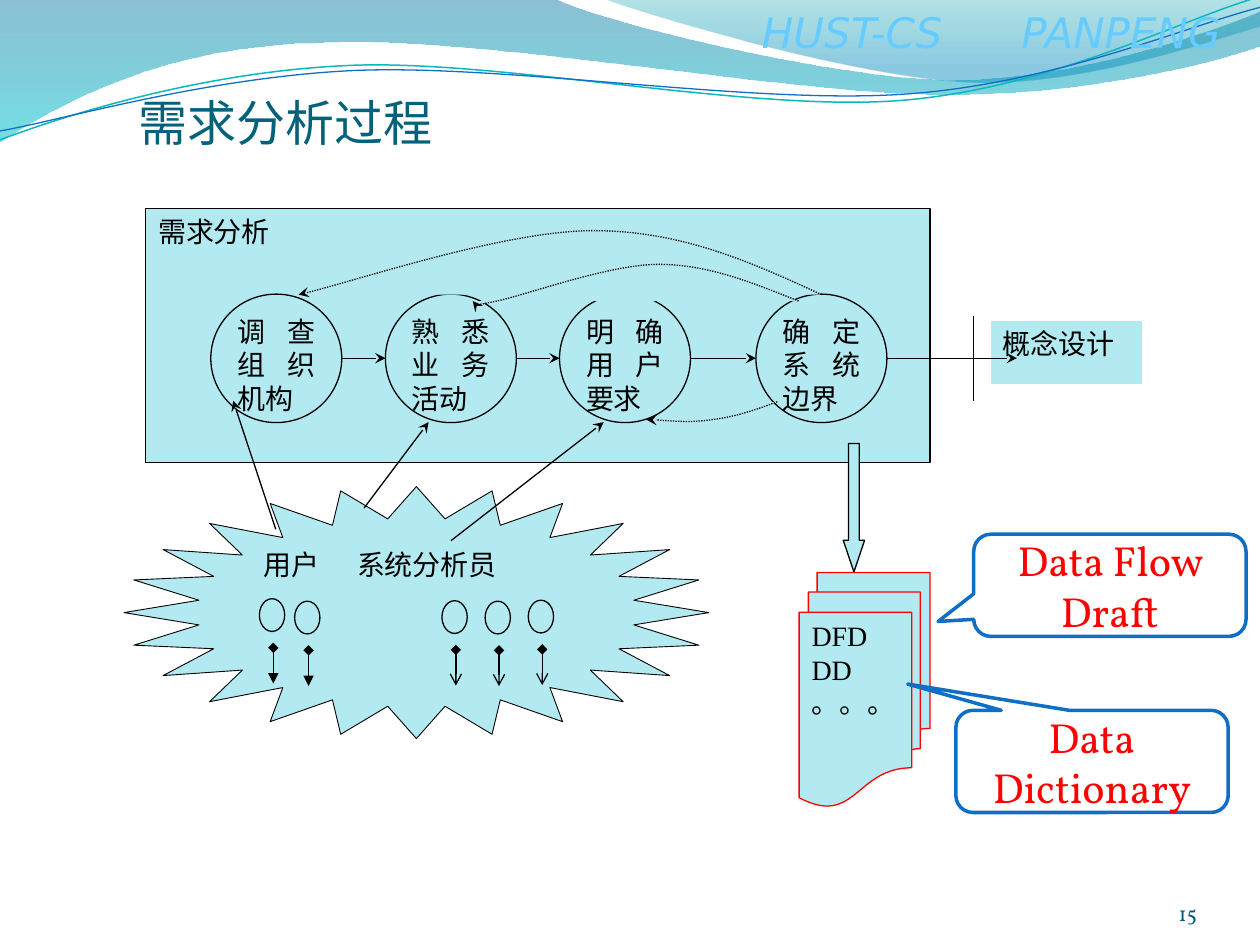
from lxml import etree
from pptx import Presentation, util as u
from pptx.dml.color import RGBColor
from pptx.enum import dml, shapes, text
from pptx.oxml.ns import qn

COLORS = {"pale": "B3EAF2", "black": "000000", "white": "FFFFFF", "red": "FF0000",
          "blue": "0F6FC6", "teal": "0AB8BF", "sky": "66CCFF", "title": "04617B", "number": "045D75"}
SERIF, VOLLKORN, SANS = "Times New Roman", "Vollkorn", "DejaVu Sans"
KIND, ALIGN = shapes.MSO_SHAPE, text.PP_ALIGN

WAVES = [
    ((0, -0.03), [(11.18, -0.03), (12.09, 0.43, 16.87, 1.6, 19.25, 1.6),
                  (21.67, 1.6, 24.33, 0.66, 25.4, 0.23), (25.43, 0.91),
                  (24.97, 1.12, 22.1, 1.93, 18.95, 1.9), (15.8, 1.9, 9.7, 0.71, 6.53, 0.86),
                  (3.28, 0.89, 1.17, 2.11, -0.03, 2.87), (0, -0.03)],
     [(0, "0074A1", 45), (1, "00C6CF", 55)]),
    ((12.17, -0.03), [(12.93, 0.28, 17.32, 1.57, 19.53, 1.65),
                      (21.74, 1.75, 24.41, 0.81, 25.4, 0.53), (25.4, 0), (12.17, -0.03)],
     [(0, "00A1A9", 30), (0.8, "008BBF", 45)]),
]
RIPPLES = [
    ((0, 2.82), [(1.22, 2.36, 4.01, 1.45, 7.04, 1.32), (10.03, 1.19, 15.06, 2.26, 18.11, 2.03),
                 (21.16, 1.8, 23.83, 0.38, 25.35, -0.05)], "teal", 0.85),
    ((0, 2.64), [(1.19, 2.44, 4.17, 1.55, 7.19, 1.42), (10.24, 1.3, 15.16, 2.11, 18.21, 1.9),
                 (21.23, 1.7, 23.9, 0.53, 25.4, 0.15)], "blue", 0.75),
]
FEEDBACK = [
    ((16.56, 5.94), [(15.14, 5.28, 13.72, 4.65, 11.96, 4.65), (10.21, 4.65, 7.01, 5.72, 6.02, 5.94)]),
    ((16.1, 6.07), [(15.21, 5.72, 14.3, 5.33, 13.28, 5.33), (12.27, 5.33, 10.64, 5.94, 10.01, 6.07),
                    (9.37, 6.2, 9.45, 6.15, 9.53, 6.07)]),
    ((15.67, 8.1), [(15.24, 8.26, 14.81, 8.41, 14.35, 8.46), (13.92, 8.53, 13.26, 8.46, 13.03, 8.46)]),
]
STEPS = [(4.25, "调查组织机构"), (7.77, "熟悉业务活动"), (11.28, "明确用户要求"), (15.24, "确定系统边界")]
STEP_TOP, STEP_W, STEP_H, FLOW_Y, FLOW_END = 5.93, 2.64, 2.59, 7.22, 20.5
PEOPLE = [(5.23, 12.07, "triangle"), (5.94, 12.12, "triangle"),
          (8.91, 12.11, "arrow"), (9.78, 12.12, "arrow"), (10.65, 12.1, "arrow")]
INPUTS = [(5.56, 10.67, 4.7, 8.08), (7.34, 10.24, 8.64, 8.51), (9.09, 10.9, 12.17, 8.51)]
CALLOUTS = [(19.63, 10.77, "Data Flow Draft", (-0.631, 0.354, 0.167)),
            (19.27, 14.32, "Data Dictionary", (-0.677, -0.757, 0.167))]


def rgb(color):
    return RGBColor.from_string(COLORS.get(color, color))


def outline(shape, color, width):
    shape.line.color.rgb = rgb(color)
    shape.line.width = u.Pt(width)


def arrowheads(shape, tail, head=None):
    for tag, kind in (("a:headEnd", head), ("a:tailEnd", tail)):
        if kind:
            etree.SubElement(shape.line._get_or_add_ln(), qn(tag), type=kind)


def write(shape, lines, size, font, color, align=ALIGN.JUSTIFY, anchor=text.MSO_ANCHOR.TOP,
          insets=(0.25, 0.13), wrap=True, tab=None, italic=None):
    frame = shape.text_frame
    frame.text = lines
    frame.auto_size = text.MSO_AUTO_SIZE.NONE
    frame.word_wrap, frame.vertical_anchor = wrap, anchor
    frame.margin_left = frame.margin_right = u.Cm(insets[0])
    frame.margin_top = frame.margin_bottom = u.Cm(insets[1])
    for paragraph in frame.paragraphs:
        paragraph.alignment = align
        if tab:
            stops = etree.SubElement(paragraph._p.get_or_add_pPr(), qn("a:tabLst"))
            etree.SubElement(stops, qn("a:tab"), pos=str(u.Cm(tab)), algn="l")
        for run in paragraph.runs:
            run.font.size, run.font.name, run.font.italic = u.Pt(size), font, italic
            run.font.color.rgb = rgb(color)


def box(slide, kind, place, fill="pale", line="black", width=0.75, adjust=()):
    shape = slide.shapes.add_shape(kind, *map(u.Cm, place))
    shape.shadow.inherit = False
    shape.fill.solid()
    shape.fill.fore_color.rgb = rgb(fill)
    outline(shape, line, width)
    for index, value in enumerate(adjust):
        shape.adjustments[index] = value
    return shape


def connect(slide, ends, tail=None, head=None):
    link = slide.shapes.add_connector(shapes.MSO_CONNECTOR.STRAIGHT, *map(u.Cm, ends))
    outline(link, "black", 0.75)
    arrowheads(link, tail, head)
    etree.SubElement(link._element.spPr, qn("a:effectLst"))


def curve(slide, start, segments, close=False):
    builder = slide.shapes.build_freeform(*map(u.Cm, start), scale=1.0)
    builder.add_line_segments([tuple(map(u.Cm, segment[-2:])) for segment in segments], close=close)
    shape = builder.convert_to_shape()
    shape.shadow.inherit = False
    for node, segment in zip(list(shape._element.iter(qn("a:lnTo"))), segments):
        if len(segment) == 6:
            bezier = etree.Element(qn("a:cubicBezTo"))
            for x, y in zip(segment[::2], segment[1::2]):
                etree.SubElement(bezier, qn("a:pt"), x=str(u.Cm(x) - shape.left),
                                 y=str(u.Cm(y) - shape.top))
            node.getparent().replace(node, bezier)
    return shape


def draw_header(slide):
    for start, segments, stops in WAVES:
        wave = curve(slide, start, segments, close=True)
        wave.line.fill.background()
        wave.fill.gradient()
        wave.fill.gradient_angle = 270
        for stop, (position, color, _) in zip(wave.fill.gradient_stops, stops):
            stop.position, stop.color.rgb = position, rgb(color)
        for node, (_, _, opacity) in zip(wave._element.iter(qn("a:gs")), stops):
            etree.SubElement(node[0], qn("a:alpha"), val=str(opacity * 1000))
    for start, segments, color, width in RIPPLES:
        ripple = curve(slide, start, segments)
        ripple.fill.background()
        outline(ripple, color, width)
    course = slide.shapes.add_textbox(*map(u.Cm, (15.11, 0, 10.29, 1.27)))
    write(course, "HUST-CS\tPANPENG", 24, SANS, "sky", ALIGN.LEFT, wrap=False, tab=5.23, italic=True)
    title = slide.shapes.title
    title.left, title.top, title.width, title.height = map(u.Cm, (2.54, 1.73, 13.34, 1.45))
    write(title, "需求分析过程", 28, SERIF, "title", ALIGN.LEFT)


def draw_process(slide):
    design = box(slide, KIND.RECTANGLE, (19.96, 6.45, 3.07, 1.3), line="white")
    write(design, "概念设计", 16, SERIF, "black")
    analysis = box(slide, KIND.RECTANGLE, (2.94, 4.2, 15.81, 5.12))
    write(analysis, "需求分析", 16, SERIF, "black")
    for left, label in STEPS:
        step = box(slide, KIND.OVAL, (left, STEP_TOP, STEP_W, STEP_H))
        write(step, label, 16, SERIF, "black", insets=(0.15, 0.03))
    team = box(slide, KIND.STAR_24_POINT, (2.5, 9.81, 11.79, 5.08), width=0.5, adjust=(0.375,))
    write(team, "用户\t系统分析员", 16, SERIF, "black", ALIGN.LEFT, insets=(0.05, 0.03), tab=1.88)
    for left, top, tail in PEOPLE:
        box(slide, KIND.OVAL, (left, top, 0.51, 0.66))
        connect(slide, (left + 0.28, top + 0.99, left + 0.28, top + 1.71), tail, "diamond")
    targets = [left for left, _ in STEPS[1:]] + [FLOW_END]
    for (left, _), target in zip(STEPS, targets):
        connect(slide, (left + STEP_W, FLOW_Y, target, FLOW_Y), "stealth")
    connect(slide, (19.63, 6.38, 19.63, 8.08))


def draw_results(slide):
    box(slide, KIND.DOWN_ARROW, (17, 8.94, 0.43, 2.59), adjust=(0.5, 1.48))
    documents = box(slide, KIND.FLOWCHART_MULTIDOCUMENT, (16.11, 11.54, 2.64, 4.72), line="red")
    write(documents, "DFD\nDD\n。。。", 16, SERIF, "black")
    for start, segments in FEEDBACK:
        loop = curve(slide, start, segments)
        loop.fill.solid()
        loop.fill.fore_color.rgb = rgb("pale")
        outline(loop, "black", 0.75)
        loop.line.dash_style = dml.MSO_LINE.ROUND_DOT
        arrowheads(loop, "stealth")
    for ends in INPUTS:
        connect(slide, ends, "stealth")
    number = slide.shapes.add_textbox(*map(u.Cm, (22.02, 17.65, 2.11, 1.02)))
    write(number, "15", 12, VOLLKORN, "number", ALIGN.RIGHT, text.MSO_ANCHOR.BOTTOM, (0, 0))
    for left, top, label, adjust in CALLOUTS:
        callout = box(slide, KIND.ROUNDED_RECTANGULAR_CALLOUT, (left, top, 5.49, 2.06),
                      "white", "blue", 2, adjust)
        write(callout, label, 24, VOLLKORN, "red", ALIGN.CENTER, text.MSO_ANCHOR.MIDDLE)


def main():
    """Build the requirements analysis process slide."""
    deck = Presentation()
    deck.slide_width, deck.slide_height = u.Cm(25.4), u.Cm(19.05)
    slide = deck.slides.add_slide(deck.slide_layouts[5])
    draw_header(slide)
    draw_process(slide)
    draw_results(slide)
    deck.save("out.pptx")


if __name__ == "__main__":
    main()
